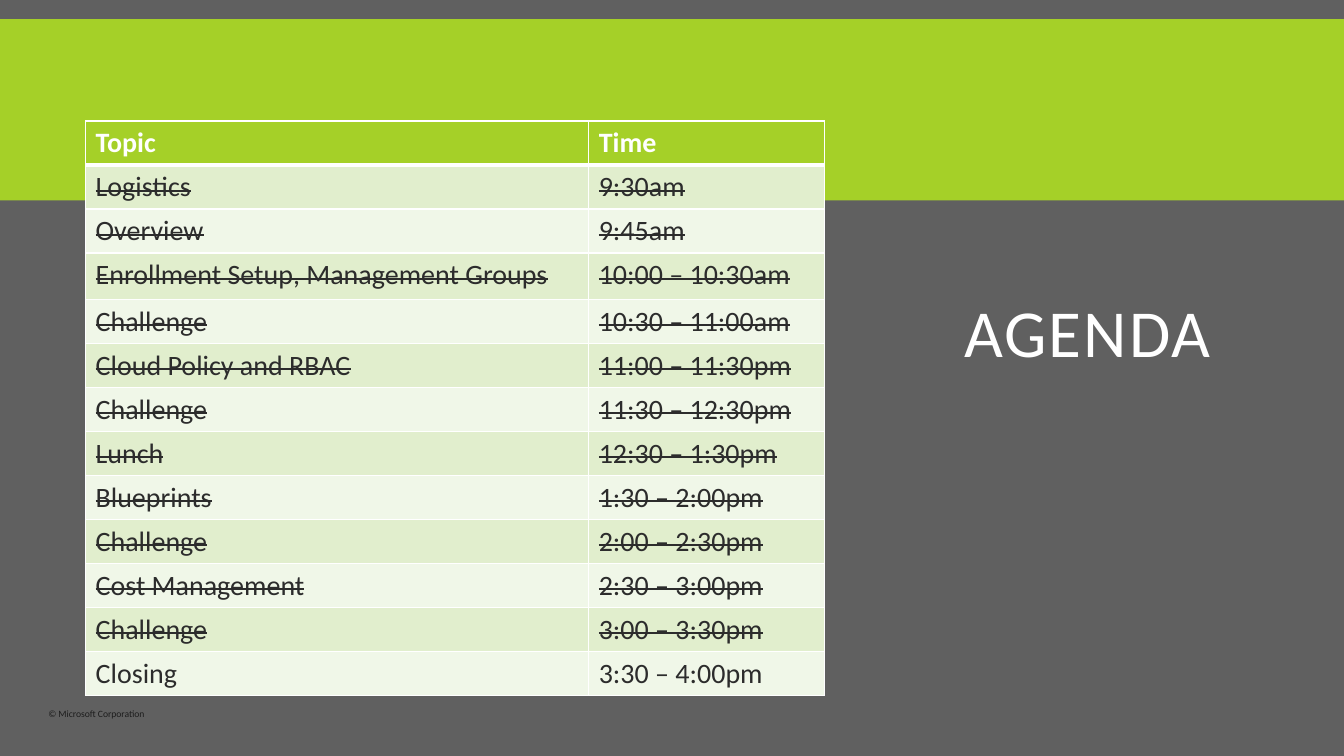
from pptx import Presentation
from pptx.dml.color import RGBColor
from pptx.enum.shapes import MSO_SHAPE
from pptx.enum.text import MSO_ANCHOR, MSO_AUTO_SIZE, PP_ALIGN
from pptx.oxml import parse_xml
from pptx.oxml.ns import nsdecls
from pptx.util import Cm, Pt

FONT = "Calibri"
GREY = RGBColor(0x60, 0x60, 0x60)
GREEN = RGBColor(0xA5, 0xD0, 0x28)
PALE_GREEN = RGBColor(0xE1, 0xEE, 0xCD)
PALEST_GREEN = RGBColor(0xF0, 0xF7, 0xE8)
WHITE = RGBColor(0xFF, 0xFF, 0xFF)
INK = RGBColor(0x2C, 0x2C, 0x2C)
FOOTER_INK = RGBColor(0x1D, 0x1D, 0x1D)

HEADER = ("Topic", "Time")
SESSIONS = [
    ("Logistics", "9:30am"),
    ("Overview", "9:45am"),
    ("Enrollment Setup, Management Groups", "10:00 – 10:30am"),
    ("Challenge", "10:30 – 11:00am"),
    ("Cloud Policy and RBAC", "11:00 – 11:30pm"),
    ("Challenge", "11:30 – 12:30pm"),
    ("Lunch", "12:30 – 1:30pm"),
    ("Blueprints", "1:30 – 2:00pm"),
    ("Challenge", "2:00 – 2:30pm"),
    ("Cost Management", "2:30 – 3:00pm"),
    ("Challenge", "3:00 – 3:30pm"),
    ("Closing", "3:30 – 4:00pm"),
]
OPEN_SESSION = "Closing"
TALL_ROW = 3


def format_span(span, size, color, bold=False):
    span.font.name = FONT
    span.font.size = Pt(size)
    span.font.color.rgb = color
    span.font.bold = bold


def add_band(page):
    band = page.shapes.add_shape(MSO_SHAPE.RECTANGLE, 0, Cm(0.48), Cm(33.87), Cm(4.57))
    band.shadow.inherit = False
    band.fill.solid()
    band.fill.fore_color.rgb = GREEN
    band.line.fill.background()
    page.shapes._spTree.insert(2, band._element)  # behind the title


def add_copyright(page):
    box = page.shapes.add_textbox(Cm(1.22), Cm(17.86), Cm(2.62), Cm(0.25))
    frame = box.text_frame
    frame.margin_left = frame.margin_right = frame.margin_top = frame.margin_bottom = 0
    frame.word_wrap = False
    frame.text = "© Microsoft Corporation"
    para = frame.paragraphs[0]
    para.line_spacing = 0.9
    format_span(para.runs[0], 6.9, FOOTER_INK)


def set_title(page):
    title = page.shapes.title
    title.left, title.top, title.width, title.height = Cm(21.84), Cm(6.1), Cm(11.13), Cm(4.83)
    frame = title.text_frame
    frame.text = "AGENDA"
    frame.auto_size = MSO_AUTO_SIZE.NONE
    frame.vertical_anchor = MSO_ANCHOR.MIDDLE
    para = frame.paragraphs[0]
    para.alignment = PP_ALIGN.CENTER
    para.line_spacing = 0.8
    format_span(para.runs[0], 48, WHITE)
    para.runs[0].font._element.set("spc", "150")


def set_borders(cell, top, bottom):
    properties = cell._tc.get_or_add_tcPr()
    widths = {"lnL": 1, "lnR": 1, "lnT": top, "lnB": bottom}
    for place, (side, width) in enumerate(widths.items()):
        properties.insert(place, parse_xml(
            f'<a:{side} {nsdecls("a")} w="{Pt(width)}"><a:solidFill>'
            f'<a:srgbClr val="{WHITE}"/></a:solidFill></a:{side}>'))


def fill_cell(cell, text, row, struck):
    is_header = row == 0
    cell.text = text
    cell.margin_left = cell.margin_right = Cm(0.25)
    cell.margin_top = cell.margin_bottom = Cm(0.13)
    cell.fill.solid()
    cell.fill.fore_color.rgb = GREEN if is_header else PALE_GREEN if row % 2 else PALEST_GREEN
    set_borders(cell, 3 if row == 1 else 1, 3 if is_header else 1)
    span = cell.text_frame.paragraphs[0].runs[0]
    format_span(span, 20, WHITE if is_header else INK, is_header)
    if struck:
        span.font._element.set("strike", "sngStrike")


def add_agenda(page):
    rows = [HEADER] + SESSIONS
    frame = page.shapes.add_table(len(rows), len(HEADER), Cm(2.16), Cm(3.05), Cm(18.62), Cm(14.4))
    table = frame.table
    for column, width in zip(table.columns, (12.68, 5.94)):
        column.width = Cm(width)
    for row, texts in enumerate(rows):
        table.rows[row].height = Cm(1.17 if row == TALL_ROW else 1.1)
        struck = row > 0 and texts[0] != OPEN_SESSION
        for column, text in enumerate(texts):
            fill_cell(table.cell(row, column), text, row, struck)


def main():
    deck = Presentation()
    deck.slide_width, deck.slide_height = Cm(33.87), Cm(19.05)
    page = deck.slides.add_slide(deck.slide_layouts[5])
    page.background.fill.solid()
    page.background.fill.fore_color.rgb = GREY

    # Backdrop and footer
    add_band(page)
    add_copyright(page)

    # Title and timetable
    set_title(page)
    add_agenda(page)
    deck.save("out.pptx")


if __name__ == "__main__":
    main()
